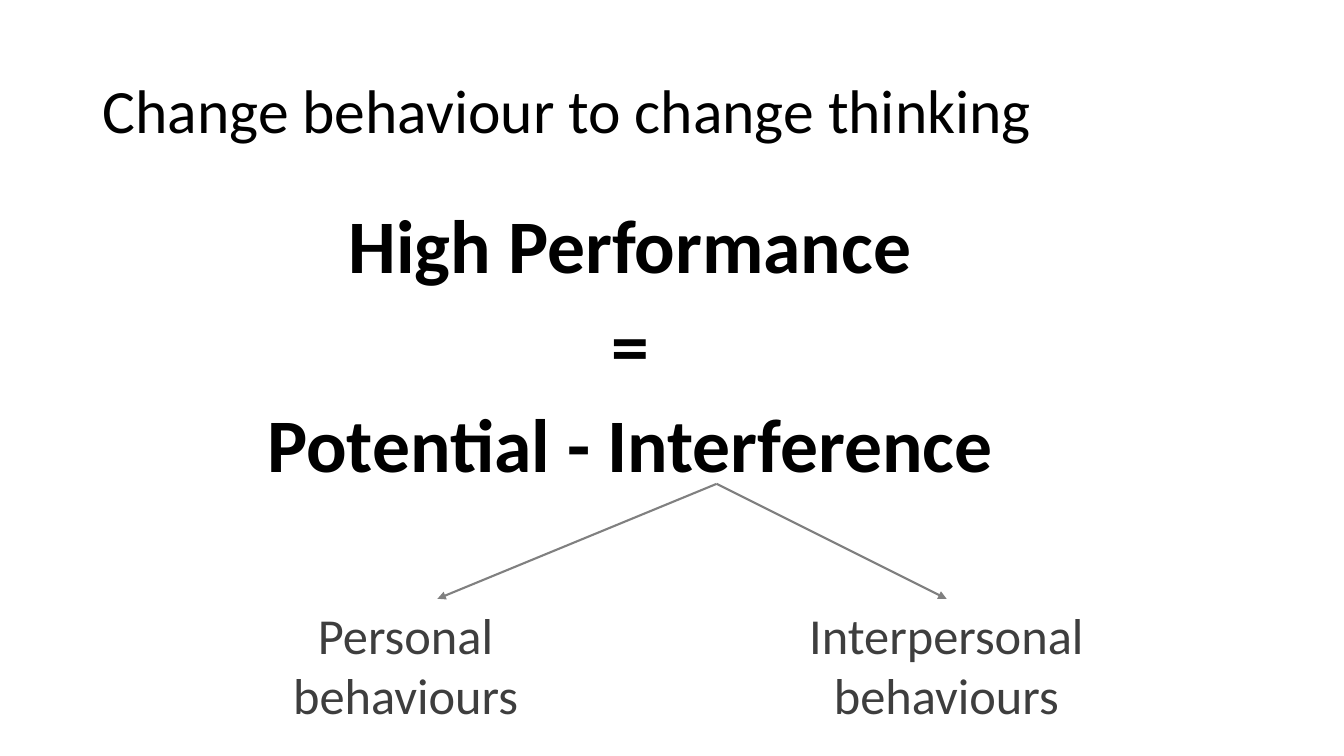
import pptx
import pptx.dml.color
import pptx.enum.shapes
import pptx.enum.text
import pptx.oxml.ns
import pptx.util
from lxml import etree

Pt = pptx.util.Pt
ALIGN = pptx.enum.text.PP_ALIGN
ANCHOR = pptx.enum.text.MSO_ANCHOR


def color(hex_string):
    return pptx.dml.color.RGBColor.from_string(hex_string)


def write_text(frame, text, size=36, fill="000000", bold=False, font="Calibri",
               align=ALIGN.CENTER, line_spacing=1.0, space_after=6):
    """Write one paragraph for each line of the text."""
    for index, line in enumerate(text.split("\n")):
        paragraph = frame.add_paragraph() if index else frame.paragraphs[0]
        paragraph.alignment = align
        paragraph.line_spacing = line_spacing
        paragraph.space_after = Pt(space_after)
        run = paragraph.add_run()
        run.text = line
        run.font.name = font
        run.font.size = Pt(size)
        run.font.bold = bold
        run.font.color.rgb = color(fill)


class SlideBuilder:
    LABEL_COLOR = "3E3E3E"
    ARROW_COLOR = "808080"
    ARROW_WIDTH = 1.5

    def __init__(self, slide):
        self.slide = slide

    def text_box(self, left, top, width, height, text, anchor=ANCHOR.TOP, **text_format):
        shape = self.slide.shapes.add_textbox(Pt(left), Pt(top), Pt(width), Pt(height))
        frame = shape.text_frame
        frame.word_wrap = True
        frame.vertical_anchor = anchor
        write_text(frame, text, **text_format)

    def arrow(self, start, end):
        connector = self.slide.shapes.add_connector(
            pptx.enum.shapes.MSO_CONNECTOR.STRAIGHT, *map(Pt, start + end))
        connector.line.color.rgb = color(self.ARROW_COLOR)
        connector.line.width = Pt(self.ARROW_WIDTH)
        qualified = pptx.oxml.ns.qn
        etree.SubElement(connector.line._get_or_add_ln(), qualified("a:tailEnd"), type="triangle")
        etree.SubElement(connector._element.spPr, qualified("a:effectLst"))


def main():
    presentation = pptx.Presentation()
    presentation.slide_width = Pt(960)
    presentation.slide_height = Pt(540)
    builder = SlideBuilder(presentation.slides.add_slide(presentation.slide_layouts[6]))

    # Title
    builder.text_box(66.2, 28.8, 828, 104.4, "Change behaviour to change thinking",
                     anchor=ANCHOR.MIDDLE, size=44, align=ALIGN.LEFT,
                     line_spacing=0.9, space_after=0)

    # Two kinds of interference: arrow and label
    fork = (511.9, 345.6)
    label_top = 427.7
    for arrow_x, left, width, label in (
        (312.5, 152.6, 274.3, "Personal behaviours"),
        (676.1, 523.4, 305.3, "Interpersonal behaviours"),
    ):
        builder.arrow(fork, (arrow_x, label_top))
        builder.text_box(left, label_top, width, 94.3, label, fill=builder.LABEL_COLOR)

    # Performance equation
    builder.text_box(56.2, 138.2, 799.9, 216,
                     "High Performance \n= \nPotential - Interference ", size=54, bold=True)

    presentation.save("out.pptx")


if __name__ == "__main__":
    main()
